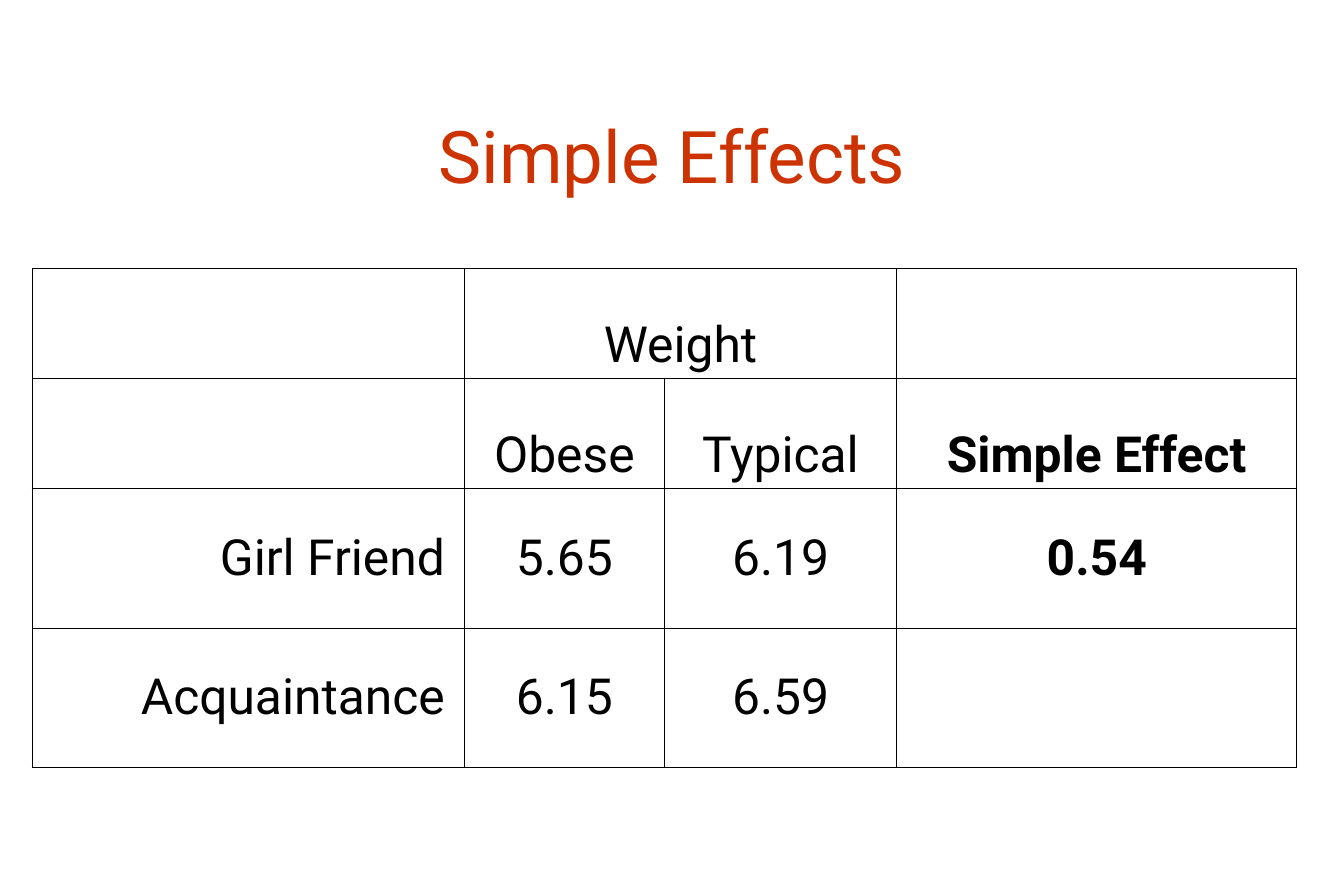
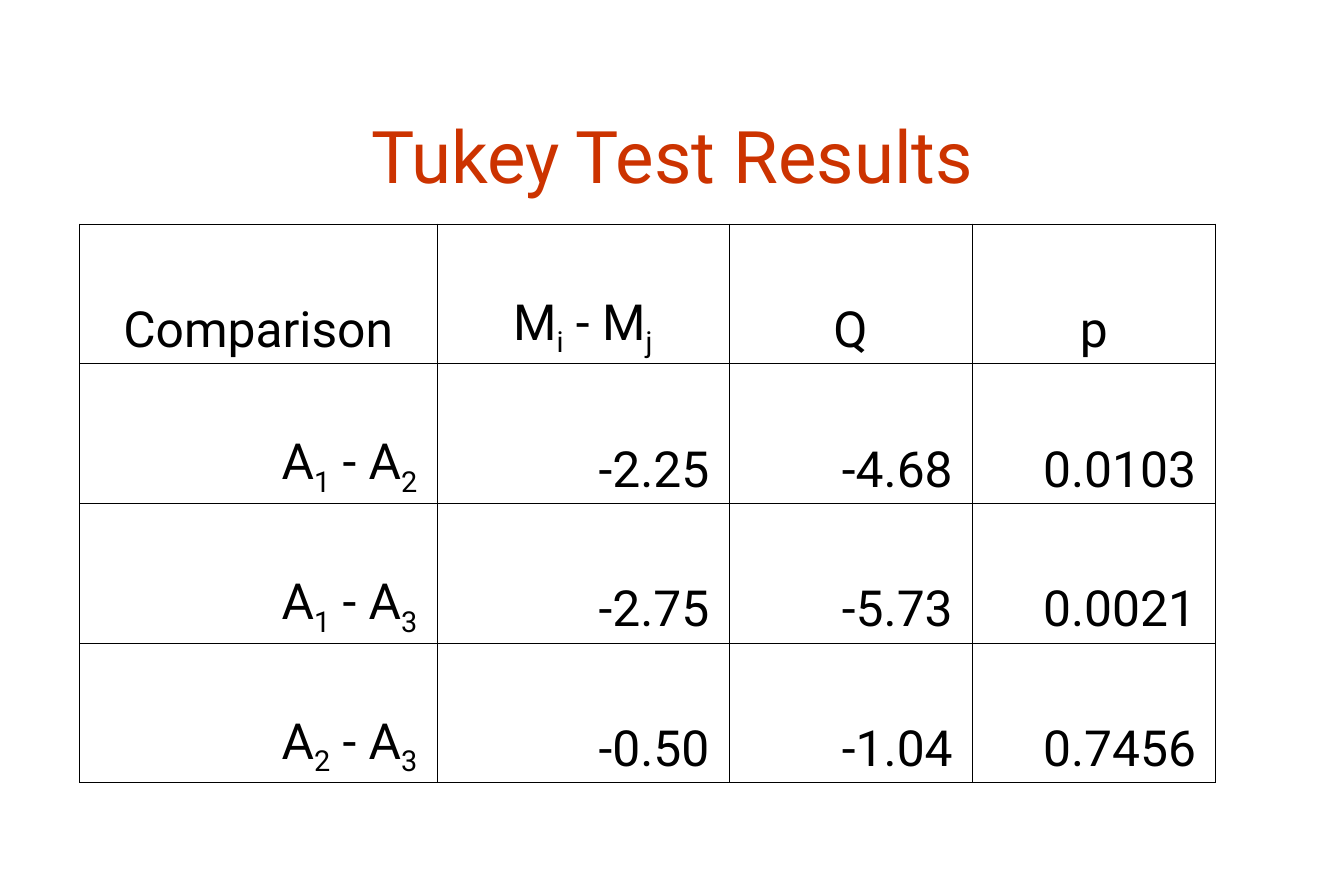
import lxml.etree
import pptx
import pptx.dml.color
import pptx.enum.text
import pptx.oxml.ns
import pptx.util

Inches = pptx.util.Inches
Pt = pptx.util.Pt
Align = pptx.enum.text.PP_ALIGN
Anchor = pptx.enum.text.MSO_ANCHOR
qn = pptx.oxml.ns.qn

# Shared look
RED = pptx.dml.color.RGBColor(0xCC, 0x33, 0x00)
BLACK = pptx.dml.color.RGBColor(0x00, 0x00, 0x00)
FONT = "Roboto"
TITLE_FONT = {"name": FONT, "size": Pt(70), "bold": False}
CELL_FONT = {"name": FONT, "size": Pt(48)}
TITLE_BOX = {"left": Inches(1.35), "top": Inches(1.07),
             "width": Inches(15.3), "height": Inches(2)}
TITLE_FRAME = {"margin_left": Inches(0.16), "margin_right": Inches(0.16),
               "margin_top": Inches(0.08), "margin_bottom": Inches(0.08),
               "vertical_anchor": Anchor.MIDDLE, "word_wrap": True,
               "auto_size": pptx.enum.text.MSO_AUTO_SIZE.NONE}
CELL_MARGINS = {"margin_left": Inches(0.26), "margin_right": Inches(0.26),
                "margin_top": Inches(0.05), "margin_bottom": Inches(0.05)}
OUTER_LINE, INNER_LINE = Pt(1.08), Pt(0.45)

# Table contents; the character after "_" is a subscript
EFFECTS = [
    ["", "Weight", "", ""],
    ["", "Obese", "Typical", "Simple Effect"],
    ["Girl Friend", "5.65", "6.19", "0.54"],
    ["Acquaintance", "6.15", "6.59", ""],
]
TUKEY = [
    ["Comparison", "M_i - M_j", "Q", "p"],
    ["A_1 - A_2", "-2.25", "-4.68", "0.0103"],
    ["A_1 - A_3", "-2.75", "-5.73", "0.0021"],
    ["A_2 - A_3", "-0.50", "-1.04", "0.7456"],
]


def apply_format(target, values):
    for name, value in values.items():
        setattr(target, name, value)


def add_titled_slide(presentation, title):
    slide = presentation.slides.add_slide(presentation.slide_layouts[5])
    shape = slide.shapes.title
    apply_format(shape, TITLE_BOX)
    apply_format(shape.text_frame, TITLE_FRAME)
    paragraph = shape.text_frame.paragraphs[0]
    paragraph.alignment = Align.CENTER
    add_run(paragraph, title, TITLE_FONT, RED)
    return slide


def add_run(paragraph, text, font, color, subscript=False):
    run = paragraph.add_run()
    run.text = text
    apply_format(run.font, font)
    run.font.color.rgb = color
    if subscript:
        run.font._element.set("baseline", "-25000")


def write_cell(cell, text, alignment, anchor, bold):
    apply_format(cell, CELL_MARGINS)
    cell.vertical_anchor = anchor
    paragraph = cell.text_frame.paragraphs[0]
    paragraph.alignment = alignment
    font = {**CELL_FONT, "bold": bold}
    plain, *marked = text.split("_")
    if plain:
        add_run(paragraph, plain, font, BLACK)
    for part in marked:
        add_run(paragraph, part[0], font, BLACK, subscript=True)
        if part[1:]:
            add_run(paragraph, part[1:], font, BLACK)


def set_borders(cell, outer_sides):
    properties = cell._tc.get_or_add_tcPr()
    for side in ("lnL", "lnR", "lnT", "lnB"):
        width = OUTER_LINE if side in outer_sides else INNER_LINE
        line = lxml.etree.SubElement(properties, qn("a:" + side), w=str(int(width)))
        fill = lxml.etree.SubElement(line, qn("a:solidFill"))
        lxml.etree.SubElement(fill, qn("a:srgbClr"), val=str(BLACK))


def add_grid(slide, left, top, widths, heights, texts, cell_style):
    """cell_style(row, column) gives alignment, anchor and bold."""
    table = slide.shapes.add_table(
        len(heights), len(widths), Inches(left), Inches(top),
        Inches(sum(widths)), Inches(sum(heights))).table
    apply_format(table, {"first_row": False, "horz_banding": False})
    for column, width in zip(table.columns, widths):
        column.width = Inches(width)
    for row, height in zip(table.rows, heights):
        row.height = Inches(height)
    last_row, last_column = len(heights) - 1, len(widths) - 1
    for row, row_texts in enumerate(texts):
        for column, text in enumerate(row_texts):
            cell = table.cell(row, column)
            edges = {"lnL": column == 0, "lnR": column == last_column,
                     "lnT": row == 0, "lnB": row == last_row}
            set_borders(cell, {side for side, is_outer in edges.items() if is_outer})
            cell.fill.background()
            write_cell(cell, text, *cell_style(row, column))
    return table


def effects_style(row, column):
    return (Align.RIGHT if column == 0 else Align.CENTER,
            Anchor.BOTTOM if row < 2 else Anchor.MIDDLE,
            column == 3)


def tukey_style(row, column):
    return Align.CENTER if row == 0 else Align.RIGHT, Anchor.BOTTOM, False


def main():
    presentation = pptx.Presentation()
    presentation.slide_width = Inches(18)
    presentation.slide_height = Inches(12)

    # Simple effects
    slide = add_titled_slide(presentation, "Simple Effects")
    table = add_grid(slide, 0.43, 3.6, [5.79, 2.68, 3.11, 5.36],
                     [1.47, 1.47, 1.87, 1.87], EFFECTS, effects_style)
    table.cell(0, 1).merge(table.cell(0, 2))

    # Tukey test
    slide = add_titled_slide(presentation, "Tukey Test Results")
    add_grid(slide, 1.07, 3, [4.78, 3.91, 3.26, 3.26], [1.87] * 4,
             TUKEY, tukey_style)

    presentation.save("out.pptx")


if __name__ == "__main__":
    main()
